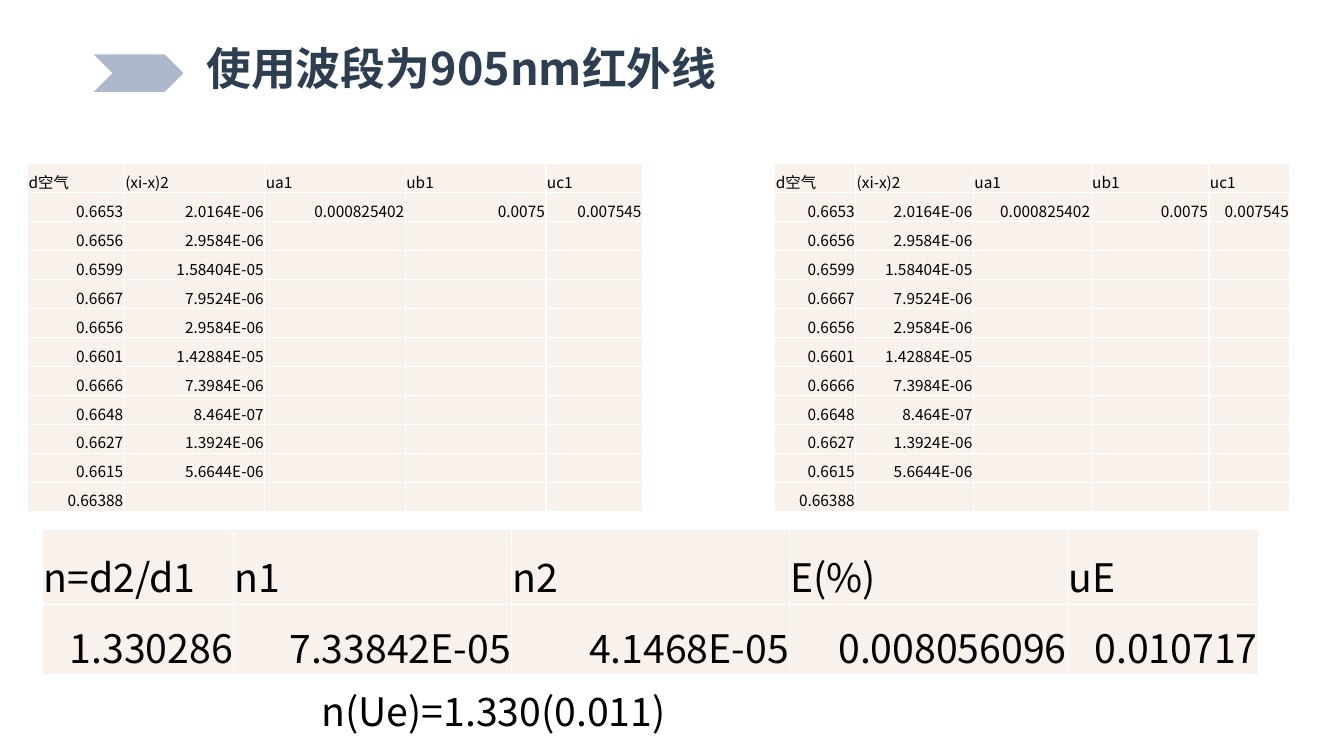
from dataclasses import dataclass

from lxml.etree import SubElement
from pptx import Presentation
from pptx.dml.color import RGBColor as Color
from pptx.enum.shapes import MSO_SHAPE as Shape
from pptx.enum.text import MSO_ANCHOR as Anchor, MSO_AUTO_SIZE as AutoSize, PP_ALIGN as Align
from pptx.oxml.ns import qn
from pptx.util import Inches, Pt


@dataclass(frozen=True)
class Theme:
    """Colours, type sizes and font of the deck."""
    face: str = "Noto Sans CJK SC"
    accent: str = "ADB9CA"
    heading: str = "2D3E50"
    ink: str = "000000"
    cell: str = "F9F2EC"
    rule: str = "FFFFFF"
    title_size: int = 32
    result_size: int = 28
    data_size: int = 11


THEME = Theme()
WIDTH, HEIGHT = Inches(13.33), Inches(7.5)
COLUMN_WEIGHTS = (11, 16, 16, 16, 11)
READINGS = [
    ("d空气", "(xi-x)2", "ua1", "ub1", "uc1"),
    ("0.6653", "2.0164E-06", "0.000825402", "0.0075", "0.007545"),
    ("0.6656", "2.9584E-06"),
    ("0.6599", "1.58404E-05"),
    ("0.6667", "7.9524E-06"),
    ("0.6656", "2.9584E-06"),
    ("0.6601", "1.42884E-05"),
    ("0.6666", "7.3984E-06"),
    ("0.6648", "8.464E-07"),
    ("0.6627", "1.3924E-06"),
    ("0.6615", "5.6644E-06"),
    ("0.66388",),
]
RESULTS = [
    ("n=d2/d1", "n1", "n2", "E(%)", "uE"),
    ("1.330286", "7.33842E-05", "4.1468E-05", "0.008056096", "0.010717"),
]


def place(left, top, width, height):
    """Turn percentages of the slide into a box."""
    return [round(share * side / 100) for share, side in
            zip((left, top, width, height), (WIDTH, HEIGHT, WIDTH, HEIGHT))]


def apply(target, values):
    """Set the attributes of an object from a dict."""
    for name, value in values.items():
        setattr(target, name, value)


def write(para, text, size, color, bold=False):
    """Write one formatted span into a paragraph."""
    span = para.add_run()
    span.text = text
    apply(span.font, {"name": THEME.face, "size": Pt(size), "bold": bold})
    span.font.color.rgb = Color.from_string(color)
    SubElement(span.font._element, qn("a:ea"), typeface=THEME.face)


def add_line(page, box, text, size, color, bold=False):
    """Add a one-line text box."""
    frame = page.shapes.add_textbox(*box).text_frame
    apply(frame, {"word_wrap": True, "auto_size": AutoSize.SHAPE_TO_FIT_TEXT,
                  "margin_top": 0, "margin_bottom": 0})
    write(frame.paragraphs[0], text, size, color, bold)


def add_heading(page, box, text):
    """Add the chevron and the title beside it."""
    left, top, width, height = box
    marker = page.shapes.add_shape(
        Shape.CHEVRON, left, top + round(height * 0.22), round(width * 0.125), round(height * 0.58))
    marker.shadow.inherit = False
    marker.fill.solid()
    marker.fill.fore_color.rgb = Color.from_string(THEME.accent)
    marker.line.fill.background()
    indent = round(width * 0.143)
    add_line(page, (left + indent, top, width - indent, height),
             text, THEME.title_size, THEME.heading, True)


def style_cell(cell):
    """Give a cell its borders, fill, insets and anchor."""
    properties = cell._tc.get_or_add_tcPr()
    for side in "LRTB":
        border = SubElement(properties, qn(f"a:ln{side}"), w=str(Pt(1)))
        SubElement(SubElement(border, qn("a:solidFill")), qn("a:srgbClr"), val=THEME.rule)
    cell.fill.solid()
    cell.fill.fore_color.rgb = Color.from_string(THEME.cell)
    inset = Inches(0.01)
    apply(cell, {"margin_left": inset, "margin_right": inset, "margin_top": inset,
                 "margin_bottom": 0, "vertical_anchor": Anchor.BOTTOM})


def add_grid(page, box, records, size, row_weights):
    """Add a table with a left-aligned header and right-aligned values."""
    left, top, width, height = box
    table = page.shapes.add_table(len(records), len(COLUMN_WEIGHTS), *box).table
    apply(table, {"first_row": False, "horz_banding": False})
    for column, weight in zip(table.columns, COLUMN_WEIGHTS):
        column.width = round(width * weight / sum(COLUMN_WEIGHTS))
    for row, weight in zip(table.rows, row_weights):
        row.height = round(height * weight / sum(row_weights))
    for row_index, record in enumerate(records):
        for column_index in range(len(COLUMN_WEIGHTS)):
            cell = table.cell(row_index, column_index)
            style_cell(cell)
            para = cell.text_frame.paragraphs[0]
            if column_index < len(record):
                para.alignment = Align.RIGHT if row_index else Align.LEFT
                write(para, record[column_index], size, THEME.ink)
            else:
                SubElement(para._p, qn("a:endParaRPr"), sz=str(size * 100))


def build_slide(deck):
    """Build the slide of infrared measurements."""
    page = deck.slides.add_slide(deck.slide_layouts[6])
    add_heading(page, place(6.98, 5.33, 53.41, 8.53), "使用波段为905nm红外线")
    for left, width in ((2.06, 45.76), (57.65, 38.33)):
        add_grid(page, place(left, 21.65, width, 46), READINGS,
                 THEME.data_size, [1] * len(READINGS))
    add_grid(page, place(3.18, 70.05, 90.47, 19.2), RESULTS, THEME.result_size, (37, 35))
    add_line(page, place(23.18, 90.93, 49.21, 7.6), "n(Ue)=1.330(0.011)",
             THEME.result_size, THEME.ink)


def main():
    """Create and save the deck."""
    deck = Presentation()
    apply(deck, {"slide_width": WIDTH, "slide_height": HEIGHT})
    build_slide(deck)
    deck.save("out.pptx")


if __name__ == "__main__":
    main()
